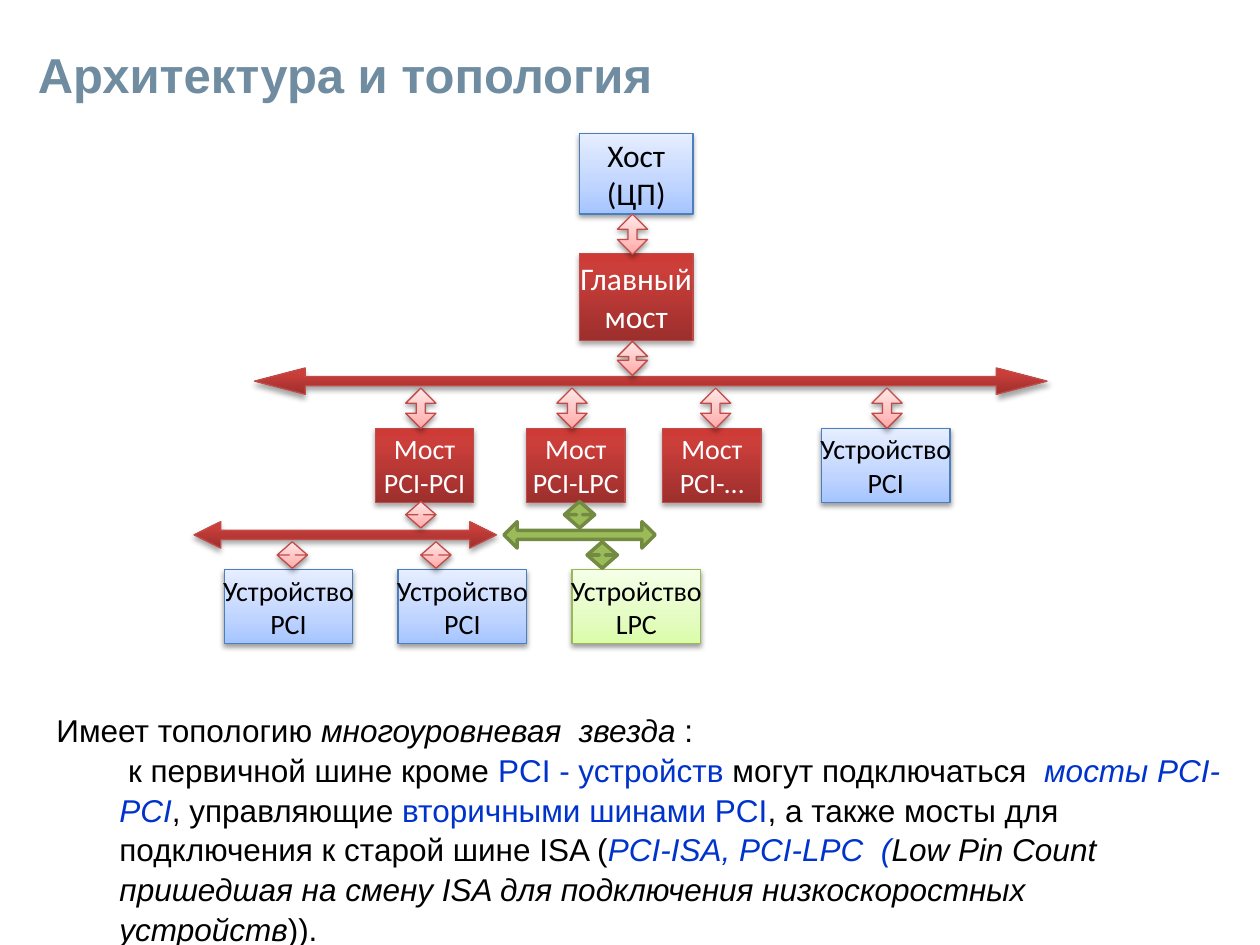
from dataclasses import dataclass
from typing import NamedTuple

from lxml.etree import SubElement
from pptx import Presentation
from pptx.dml.color import RGBColor
from pptx.enum.shapes import MSO_SHAPE
from pptx.enum.text import MSO_ANCHOR, PP_ALIGN
from pptx.oxml.ns import qn
from pptx.util import Emu, Inches, Pt

COLUMNS, ROWS = 100, 75


class Style(NamedTuple):
    """One stop colour is a flat fill without shadow; several run bottom to top."""
    colors: tuple[str, ...]
    line: str
    positions: tuple[int, ...] = (0, 35, 100)
    line_width: float = 0.75
    text: str = "000000"
    shadow_opacity: int = 38
    shadow_distance: float = 1.6


@dataclass(frozen=True)
class Theme:
    title: str = "708CA1"
    text: str = "000000"
    accent: str = "0033CC"
    title_font: str = "Arial"
    box_font: str = "Calibri"
    title_size: int = 28
    large_size: int = 18
    small_size: int = 16
    blue: Style = Style(("A4C4FF", "BFD4FF", "E6EEFF"), "4B7EBC")
    lime: Style = Style(("DAFDA7", "E4FCC2", "F5FFE7"), "98B955")
    pink: Style = Style(("FFA6A5", "FFC0BF", "FFE7E7"), "BF4C48")
    red: Style = Style(("9C2F2D", "CB3E3A", "CE3B37"), "BF4C48", (0, 80, 100),
                       text="FFFFFF", shadow_opacity=35, shadow_distance=1.8)
    green: Style = Style(("9BBB59",), "738A42", line_width=2)


THEME = Theme()


class Area(NamedTuple):
    """Left, top, width and height in grid columns and rows."""
    left: float
    top: float
    width: float
    height: float


class Block(NamedTuple):
    lines: tuple[str, str]
    area: Area
    style: Style
    size: int = THEME.small_size


class Bus(NamedTuple):
    area: Area
    style: Style
    shaft: float
    head: float


class Link(NamedTuple):
    left: float
    top: float
    height: float
    style: Style = THEME.pink


class Span(NamedTuple):
    text: str
    color: str = THEME.text
    italic: bool = False


BRIDGE_TOP, DEVICE_TOP = 34, 45.2
LINK_WIDTH = 2.4


def bridge(name: str, left: float) -> Block:
    return Block(("Мост", name), Area(left, BRIDGE_TOP, 7.8, 5.9), THEME.red)


def device(name: str, left: float, top: float, style: Style) -> Block:
    return Block(("Устройство", name), Area(left, top, 10.2, 5.9), style)


BLOCKS = [
    Block(("Хост", "(ЦП)"), Area(46, 10.6, 9, 6.4), THEME.blue, THEME.large_size),
    Block(("Главный", "мост"), Area(46, 20.1, 9, 6.9), THEME.red, THEME.large_size),
    bridge("PCI-PCI", 29.8),
    bridge("PCI-LPC", 41.8),
    bridge("PCI-…", 52.6),
    device("PCI", 65.2, BRIDGE_TOP, THEME.blue),
    device("PCI", 17.8, DEVICE_TOP, THEME.blue),
    device("PCI", 31.6, DEVICE_TOP, THEME.blue),
    device("LPC", 45.4, DEVICE_TOP, THEME.lime),
]
BUSES = [
    Bus(Area(20.2, 29.2, 62.9, 2.1), THEME.red, 0.35, 1.92),
    Bus(Area(15.4, 41.4, 24, 2.1), THEME.red, 0.34, 1.01),
    Bus(Area(40, 41.4, 12, 2.1), THEME.green, 0.34, 0.5),
]
LINKS = [
    Link(49, 17, 3.2),
    Link(49, 27.1, 2.7),
    *(Link(left, 30.8, 3.2) for left in (32.2, 44.2, 55.6, 69.2)),
    Link(32.2, 39.8, 2.1),
    *(Link(left, 43, 2.1) for left in (22, 33.4)),
    Link(46.6, 43, 2.1, THEME.green),
    Link(44.8, 39.8, 2.1, THEME.green),
]
TOPOLOGY = [
    [Span("Имеет топологию "), Span("многоуровневая  звезда ", italic=True), Span(":")],
    [
        Span(" к первичной шине кроме "),
        Span("PCI - устройств ", THEME.accent),
        Span("могут подключаться  "),
        Span("мосты PCI-PCI", THEME.accent, True),
        Span(", управляющие "),
        Span("вторичными шинами PCI", THEME.accent),
        Span(", а также мосты для подключения к старой шине ISA ("),
        Span("PCI-ISA, PCI-LPC  (", THEME.accent, True),
        Span("Low Pin Count  пришедшая на смену ISA для подключения "
             "низкоскоростных устройств", italic=True),
        Span("))."),
    ],
]


def place(deck, area: Area) -> tuple[Emu, ...]:
    column, row = deck.slide_width / COLUMNS, deck.slide_height / ROWS
    return tuple(Emu(round(length * unit))
                 for length, unit in zip(area, (column, row, column, row)))


def add_color(parent, color: str):
    return SubElement(parent, qn("a:srgbClr"), val=color)


def apply_style(shape, style: Style) -> None:
    shape.line.color.rgb = RGBColor.from_string(style.line)
    shape.line.width = Pt(style.line_width)
    shape.shadow.inherit = False
    if len(style.colors) == 1:
        shape.fill.solid()
        shape.fill.fore_color.rgb = RGBColor.from_string(style.colors[0])
        return
    shape.fill.gradient()
    shape.fill.gradient_angle = 90
    properties = shape.element.spPr
    stops = properties.find(".//" + qn("a:gsLst"))
    for stop in list(stops):
        stops.remove(stop)
    for position, color in zip(style.positions, style.colors):
        add_color(SubElement(stops, qn("a:gs"), pos=str(position * 1000)), color)
    shadow = SubElement(properties.find(qn("a:effectLst")), qn("a:outerShdw"),
                        blurRad=str(Pt(3.1)), dist=str(Pt(style.shadow_distance)),
                        dir="5400000", rotWithShape="0")
    SubElement(add_color(shadow, "000000"), qn("a:alpha"),
               val=str(style.shadow_opacity * 1000))


def add_styled(deck, page, kind: MSO_SHAPE, area: Area, style: Style):
    shape = page.shapes.add_shape(kind, *place(deck, area))
    apply_style(shape, style)
    return shape


def set_font(font, name: str, size: int, color: str) -> None:
    font.name, font.size = name, Pt(size)
    font.color.rgb = RGBColor.from_string(color)


def add_block(deck, page, block: Block) -> None:
    frame = add_styled(deck, page, MSO_SHAPE.RECTANGLE, block.area, block.style).text_frame
    frame.word_wrap = False
    frame.vertical_anchor = MSO_ANCHOR.MIDDLE
    frame.text = "\n".join(block.lines)
    for para in frame.paragraphs:
        para.alignment = PP_ALIGN.CENTER
        set_font(para.font, THEME.box_font, block.size, block.style.text)


def add_arrow(deck, page, kind: MSO_SHAPE, area: Area, style: Style,
              shaft: float, head: float) -> None:
    arrow = add_styled(deck, page, kind, area, style)
    arrow.adjustments[0], arrow.adjustments[1] = shaft, head


def add_text_box(deck, page, area: Area):
    frame = page.shapes.add_textbox(*place(deck, area)).text_frame
    frame.word_wrap = True
    return frame


def add_title(deck, page) -> None:
    frame = add_text_box(deck, page, Area(0, 3.1, 90, 5.6))
    frame.vertical_anchor = MSO_ANCHOR.MIDDLE
    frame.margin_left = Inches(0.3)
    para = frame.paragraphs[0]
    para.text = "Архитектура и топология"
    set_font(para.font, THEME.title_font, THEME.title_size, THEME.title)
    para.font.bold = True


def add_topology(deck, page) -> None:
    frame = add_text_box(deck, page, Area(3.5, 55.8, 95.3, 19.2))
    for level, spans in enumerate(TOPOLOGY):
        para = frame.add_paragraph() if level else frame.paragraphs[0]
        para.level, para.line_spacing = level, 1.05
        para._p.get_or_add_pPr().set("marL", str(Inches(0.5 * level)))
        for span in spans:
            run = para.add_run()
            run.text, run.font.italic = span.text, span.italic
            set_font(run.font, THEME.title_font, THEME.large_size, span.color)


def main() -> None:
    deck = Presentation()
    deck.slide_width, deck.slide_height = Inches(10), Inches(7.5)
    page = deck.slides.add_slide(deck.slide_layouts[6])
    add_title(deck, page)
    for block in BLOCKS:
        add_block(deck, page, block)
    for bus in BUSES:
        add_arrow(deck, page, MSO_SHAPE.LEFT_RIGHT_ARROW, *bus)
    for link in LINKS:
        area = Area(link.left, link.top, LINK_WIDTH, link.height)
        add_arrow(deck, page, MSO_SHAPE.UP_DOWN_ARROW, area, link.style,
                  0.5, 0.22 * link.height / LINK_WIDTH)
    add_topology(deck, page)
    deck.save("out.pptx")


if __name__ == "__main__":
    main()
